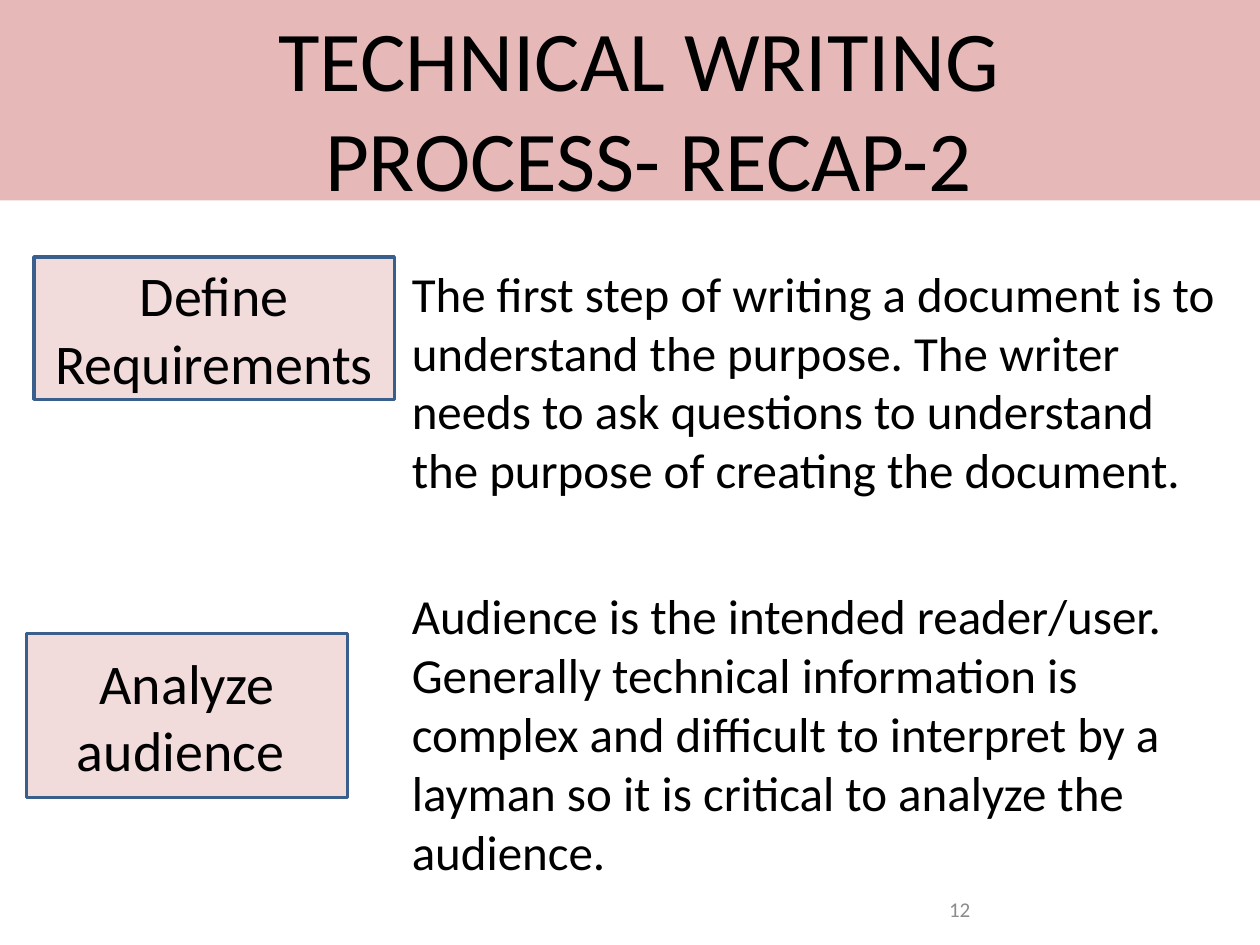
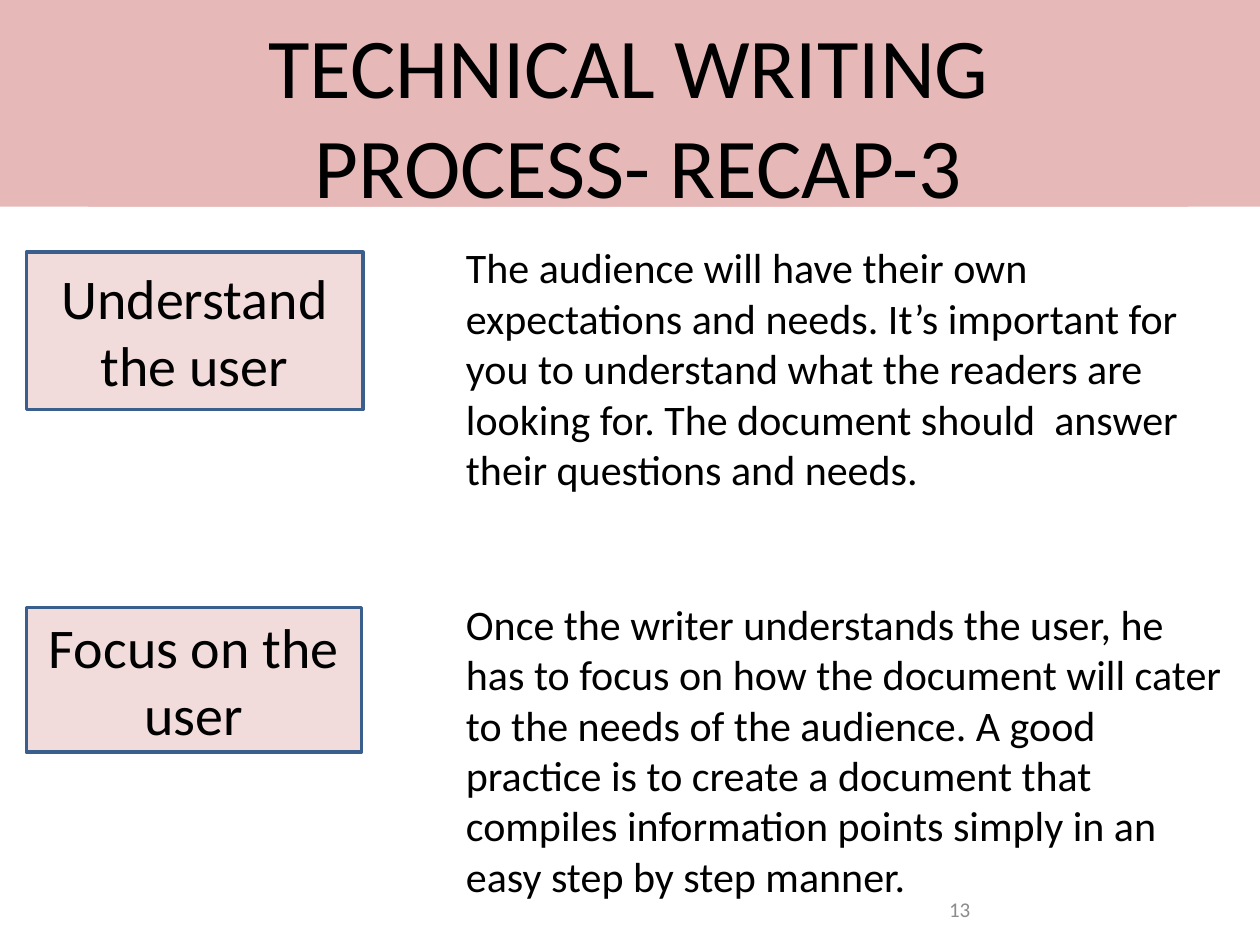
"""Build two recap slides on the technical writing process."""
import dataclasses
import typing

import pptx
import pptx.dml.color
import pptx.enum.shapes
import pptx.enum.text
import pptx.util

COLOURS = {"band": "E6B9B8", "step": "F2DCDB", "outline": "3A5F8C",
           "text": "000000", "number": "8C8C8C"}
FONT = "Calibri"
WIDTH, HEIGHT = pptx.util.Inches(10), pptx.util.Inches(7.5)
COLUMN, ROW = WIDTH / 100, HEIGHT / 75
ALIGN = pptx.enum.text.PP_ALIGN
ANCHOR = pptx.enum.text.MSO_ANCHOR
RECTANGLE = pptx.enum.shapes.MSO_SHAPE.RECTANGLE


class Area(typing.NamedTuple):
    """Left and width in columns, top and height in rows."""
    left: float
    top: float
    width: float
    height: float

    def lengths(self) -> list[int]:
        """Return the area as left, top, width and height in EMU."""
        return [round(count * unit) for count, unit in zip(self, (COLUMN, ROW) * 2)]


@dataclasses.dataclass
class Step:
    """A named step of the process and its explanation."""
    name: str
    name_area: Area
    detail: str
    detail_area: Area


@dataclasses.dataclass
class Recap:
    """The content of one recap slide."""
    recap_number: int
    page_number: int
    band_rows: float
    title_area: Area
    detail_size: float
    steps: list[Step]


NUMBER_AREA = Area(73.5, 70.6, 4.5, 3.1)

RECAPS = [
    Recap(2, 12, 15.9, Area(7.9, 1.5, 87.1, 13.8), 28, [
        Step("Define Requirements", Area(2.7, 20.4, 28.6, 11.3),
             "The first step of writing a document is to understand the purpose. "
             "The writer needs to ask questions to understand the purpose of "
             "creating the document.", Area(31.7, 20.4, 67, 19.9)),
        Step("Analyze audience ", Area(2.1, 50.3, 25.5, 13),
             "Audience is the intended reader/user. Generally technical "
             "information is complex and difficult to interpret by a layman so "
             "it is critical to analyze the audience.", Area(31.7, 46, 67, 24.6)),
    ]),
    Recap(3, 13, 16.4, Area(7, 1.5, 87.3, 14.9), 24, [
        Step("Understand the user", Area(2.1, 20, 26.7, 12.5),
             "The audience will have their own expectations and needs. It’s "
             "important for you to understand what the readers are looking for. "
             "The document should  answer their questions and needs.",
             Area(36, 18.7, 62.7, 21.2)),
        Step("Focus on the user", Area(2.1, 48.2, 26.6, 11.5),
             "Once the writer understands the user, he has to focus on how the "
             "document will cater to the needs of the audience. A good practice "
             "is to create a document that compiles information points simply in "
             "an easy step by step manner.", Area(36, 47, 62.7, 25.3)),
    ]),
]


def colour(name: str) -> pptx.dml.color.RGBColor:
    """Look up a named colour."""
    return pptx.dml.color.RGBColor.from_string(COLOURS[name])


def write(box, text: str, *, size: float, ink: str = "text",
          align=ALIGN.LEFT, anchor=ANCHOR.TOP) -> None:
    """Put one formatted paragraph into a box."""
    frame = box.text_frame
    frame.word_wrap = True
    frame.auto_size = pptx.enum.text.MSO_AUTO_SIZE.NONE
    frame.vertical_anchor = anchor
    para = frame.paragraphs[0]
    para.text = text
    para.alignment = align
    for span in para.runs:
        span.font.name = FONT
        span.font.size = pptx.util.Pt(size)
        span.font.color.rgb = colour(ink)


def paint(box, fill: str) -> None:
    """Fill a box with a named colour."""
    box.fill.solid()
    box.fill.fore_color.rgb = colour(fill)


def add_rectangle(page, area: Area, fill: str, outline: str | None = None):
    """Add a flat rectangle, outlined on request."""
    box = page.shapes.add_shape(RECTANGLE, *area.lengths())
    box.shadow.inherit = False
    paint(box, fill)
    if outline:
        box.line.color.rgb = colour(outline)
        box.line.width = pptx.util.Pt(2)
    else:
        box.line.fill.background()
    return box


def add_text(page, area: Area, text: str, **style) -> None:
    """Add a text box with formatted text."""
    write(page.shapes.add_textbox(*area.lengths()), text, **style)


def add_title(page, recap: Recap) -> None:
    """Draw the band and set the title on top of it."""
    band = add_rectangle(page, Area(0, 0, 100, recap.band_rows), "band")
    title = page.shapes.title
    title.left, title.top, title.width, title.height = recap.title_area.lengths()
    paint(title, "band")
    write(title, f"TECHNICAL WRITING \vPROCESS- RECAP-{recap.recap_number}",
          size=48.6, align=ALIGN.CENTER, anchor=ANCHOR.MIDDLE)
    title.text_frame.margin_top = pptx.util.Inches(0.14)
    title.text_frame.paragraphs[0].line_spacing = 0.98
    band._element.addnext(title._element)


def add_step(page, step: Step, detail_size: float) -> None:
    """Draw a step's box and its explanation."""
    add_text(page, step.detail_area, step.detail, size=detail_size)
    box = add_rectangle(page, step.name_area, "step", "outline")
    write(box, step.name, size=32, align=ALIGN.CENTER, anchor=ANCHOR.MIDDLE)


def main() -> None:
    """Build and save the deck."""
    deck = pptx.Presentation()
    deck.slide_width, deck.slide_height = WIDTH, HEIGHT
    layout = deck.slide_layouts.get_by_name("Title Only")
    for recap in RECAPS:
        page = deck.slides.add_slide(layout)
        add_title(page, recap)
        add_text(page, NUMBER_AREA, str(recap.page_number), size=12, ink="number",
                 align=ALIGN.RIGHT, anchor=ANCHOR.MIDDLE)
        for step in recap.steps:
            add_step(page, step, recap.detail_size)
    deck.save("out.pptx")


if __name__ == "__main__":
    main()
